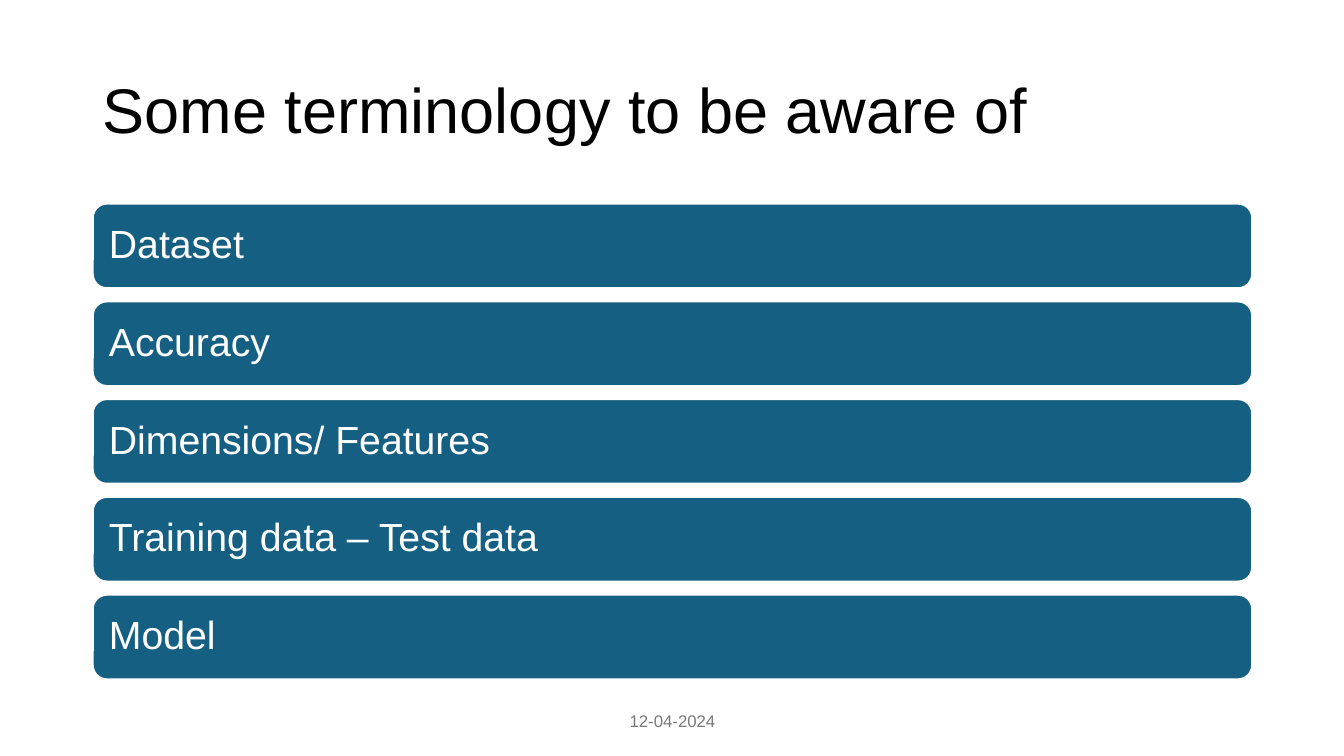
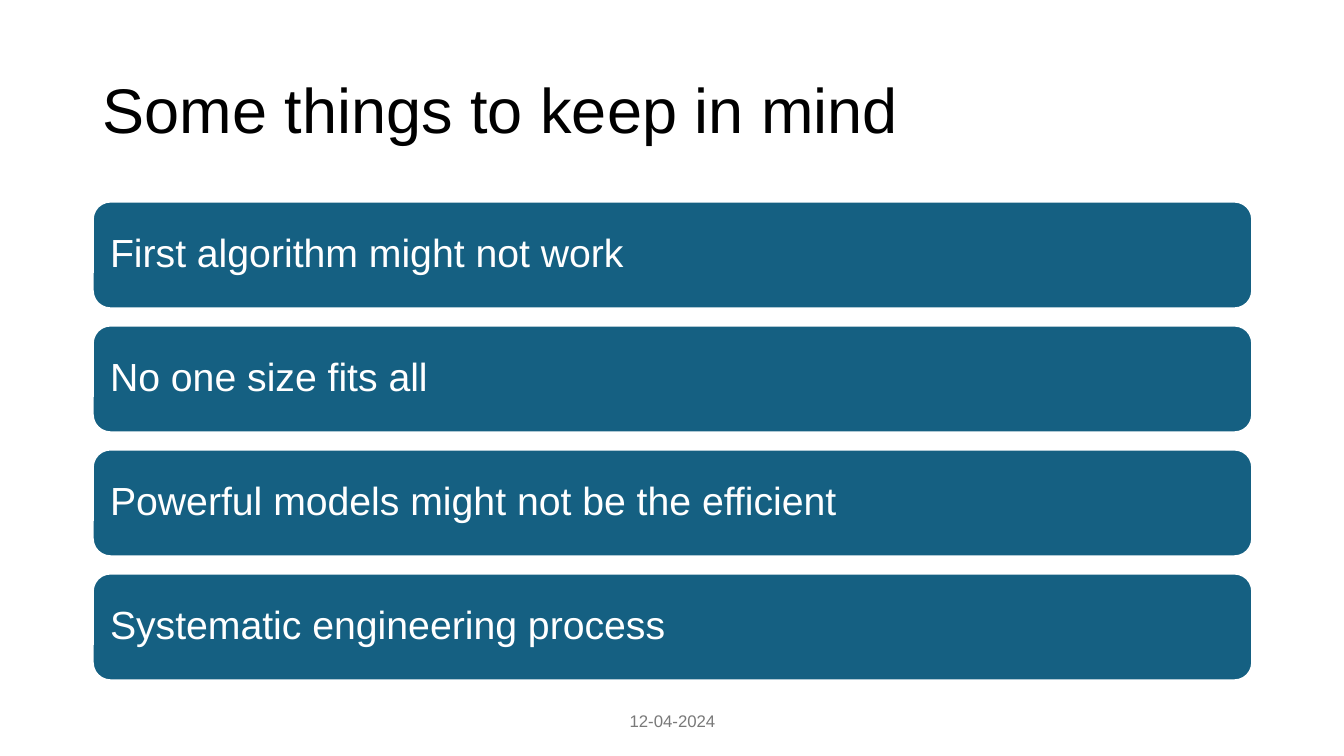
from pptx import Presentation
from pptx.dml.color import RGBColor
from pptx.enum.shapes import MSO_SHAPE as Shape
from pptx.enum.text import MSO_ANCHOR as Anchor, MSO_AUTO_SIZE as AutoSize, PP_ALIGN as Align
from pptx.util import Inches, Pt

LEFT, WIDTH = 0.92, 11.5
DATE = "12-04-2024"
PAGES = [
    {"title": "Some terminology to be aware of", "top": 2.02, "height": 0.84, "gap": 0.13,
     "labels": ["Dataset", "Accuracy", "Dimensions/ Features",
                "Training data – Test data", "Model"]},
    {"title": "Some things to keep in mind", "top": 2, "height": 1.06, "gap": 0.17,
     "labels": ["First algorithm might not work", "No one size fits all",
                "Powerful models might not be the efficient",
                "Systematic engineering process"]},
]


def color(value):
    """Turn a hex string into a colour."""
    return RGBColor.from_string(value)


class Deck:
    """Hold the shared style and the page being built."""

    FONT = "Arial"
    BLACK, WHITE, BLUE, GRAY = "000000", "FFFFFF", "156082", "797979"

    def __init__(self):
        """Start an empty widescreen presentation."""
        self.deck = Presentation()
        self.deck.slide_width, self.deck.slide_height = Inches(13.33), Inches(7.5)
        self.page = None

    def add_page(self, title):
        """Add a page with its title and date."""
        self.page = self.deck.slides.add_slide(self.deck.slide_layouts[5])
        box = self.page.shapes.title
        places = {"left": LEFT, "top": 0.4, "width": WIDTH, "height": 1.45}
        for name, value in places.items():
            setattr(box, name, Inches(value))
        self.set_text(box, title, 45, self.BLACK, line_spacing=0.9)
        self.add_date()

    def add_date(self):
        """Put the date at the foot of the page."""
        box = self.page.shapes.add_textbox(Inches(4.42), Inches(6.95), Inches(4.5), Inches(0.4))
        self.set_text(box, DATE, 12, self.GRAY, alignment=Align.CENTER)

    def add_bars(self, labels, top, height, gap):
        """Stack one rounded bar for each label."""
        for index, label in enumerate(labels):
            bar = self.page.shapes.add_shape(
                Shape.ROUNDED_RECTANGLE, Inches(LEFT), Inches(top + index * (height + gap)),
                Inches(WIDTH), Inches(height))
            bar.shadow.inherit = False
            bar.fill.solid()
            bar.fill.fore_color.rgb = color(self.BLUE)
            bar.line.color.rgb = color(self.WHITE)
            bar.line.width = Pt(1.5)
            self.set_text(bar, label, 28, self.WHITE, margin=0.12, line_spacing=0.9)

    def set_text(self, box, text, size, ink, margin=None, **formats):
        """Put one formatted paragraph into a shape."""
        frame = box.text_frame
        settings = {"word_wrap": True, "auto_size": AutoSize.NONE,
                    "vertical_anchor": Anchor.MIDDLE}
        if margin is not None:
            for side in ("left", "top", "right", "bottom"):
                settings[f"margin_{side}"] = Inches(margin)
        for name, value in settings.items():
            setattr(frame, name, value)
        para = frame.paragraphs[0]
        for name, value in ({"alignment": Align.LEFT} | formats).items():
            setattr(para, name, value)
        span = para.add_run()
        span.text = text
        for name, value in {"name": self.FONT, "size": Pt(size)}.items():
            setattr(span.font, name, value)
        span.font.color.rgb = color(ink)


def main():
    """Build and save the presentation."""
    builder = Deck()
    for content in PAGES:
        builder.add_page(content["title"])
        builder.add_bars(content["labels"], content["top"], content["height"], content["gap"])
    builder.deck.save("out.pptx")


if __name__ == "__main__":
    main()
